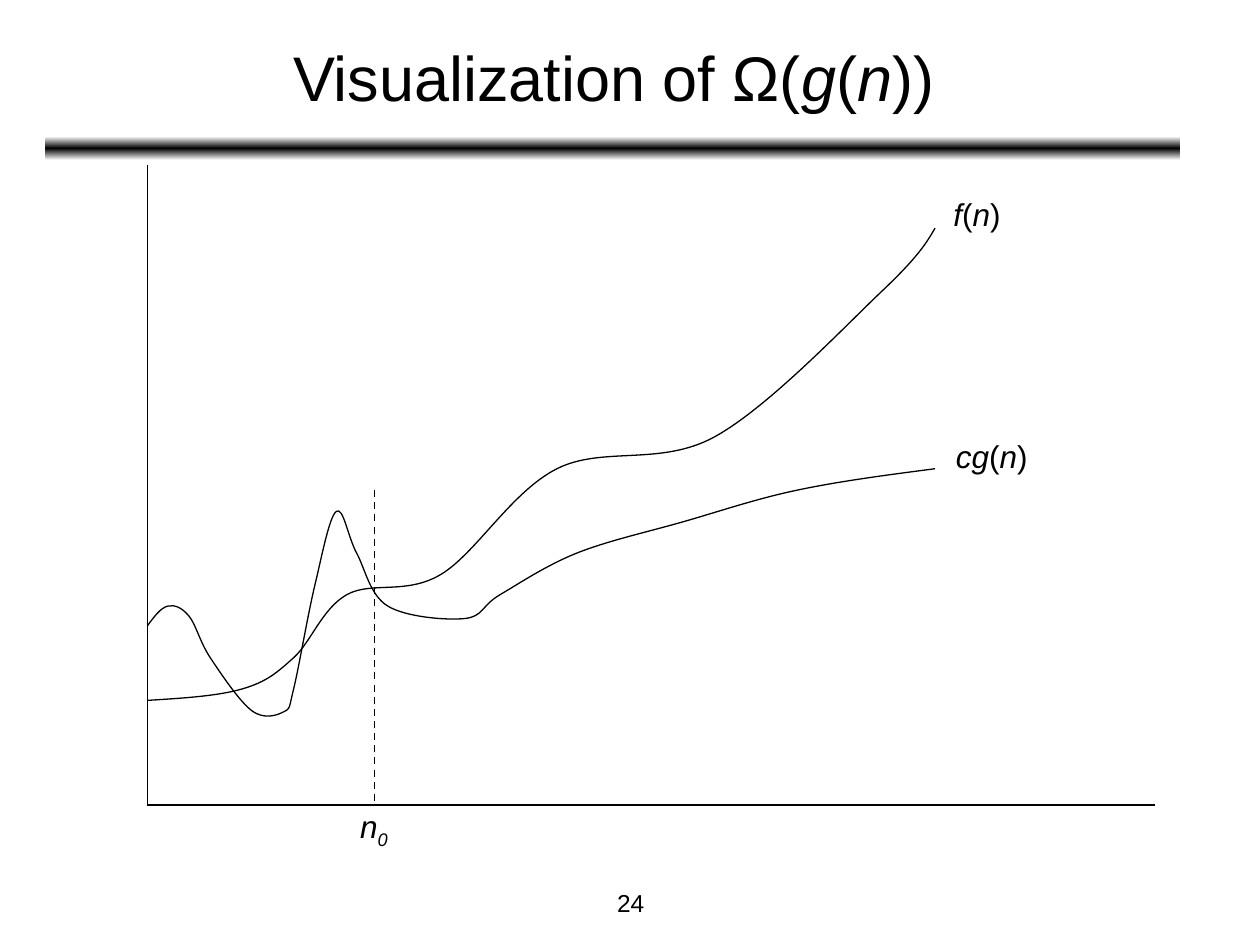
from copy import deepcopy

from lxml.etree import SubElement
from pptx import Presentation
from pptx.dml.color import RGBColor
from pptx.enum.dml import MSO_LINE
from pptx.enum.shapes import MSO_CONNECTOR, MSO_SHAPE
from pptx.enum.text import MSO_ANCHOR, MSO_AUTO_SIZE, PP_ALIGN
from pptx.oxml.ns import qn
from pptx.util import Cm, Pt

BLACK = RGBColor(0, 0, 0)
WHITE = RGBColor(255, 255, 255)

AXIS_X, AXIS_Y = 2.97, 16.23
N0_X = 7.55

F_KNOTS = [(2.97, 14.12), (4.88, 13.89), (5.92, 13.26), (6.99, 11.99),
           (8.89, 11.58), (11.23, 9.45), (14.4, 8.81), (17.78, 5.87),
           (18.85, 4.6)]
CG_KNOTS = [(2.97, 12.62), (3.38, 12.22), (3.81, 12.42), (4.24, 13.26),
            (5.08, 14.33), (5.72, 14.35), (5.92, 13.89), (6.35, 11.79),
            (6.78, 10.31), (7.19, 11.15), (7.82, 12.22), (9.37, 12.47),
            (10.08, 11.99), (11.63, 11.15), (13.77, 10.52), (16.08, 9.88),
            (18.85, 9.45)]


def write_spans(paragraph, spans, size):
    """Fill a paragraph from (text, italic) pairs and return its runs."""
    paragraph.font.size = Pt(size)
    paragraph.font.name = "Arial"
    paragraph.font.color.rgb = BLACK
    runs = []
    for text, italic in spans:
        span = paragraph.add_run()
        span.text = text
        span.font.italic = italic
        runs.append(span)
    return runs


def smooth_segments(curve):
    """Turn a freeform's straight segments into a smooth spline through its knots."""
    path = next(curve._element.iter(qn("a:path")))
    knots = [(int(pt.get("x")), int(pt.get("y"))) for pt in path.iter(qn("a:pt"))]
    arriving, leaving = [], []
    for (x0, y0), (x, y), (x1, y1) in zip(knots, knots[1:], knots[2:]):
        dx, dy = (x1 - x0) / 6, (y1 - y0) / 6
        arriving.append((x - dx, y - dy))
        leaving.append((x + dx, y + dy))
    # The outer controls lie halfway between the end knot and its neighbour's control
    first = [(a + b) / 2 for a, b in zip(knots[0], arriving[0])]
    last = [(a + b) / 2 for a, b in zip(knots[-1], leaving[-1])]
    for line in path.findall(qn("a:lnTo")):
        path.remove(line)
    for controls in zip([first] + leaving, arriving + [last], knots[1:]):
        bezier = SubElement(path, qn("a:cubicBezTo"))
        for x, y in controls:
            SubElement(bezier, qn("a:pt"), x=str(round(x)), y=str(round(y)))


deck = Presentation()
deck.slide_width, deck.slide_height = Cm(25.4), Cm(19.05)
page = deck.slides.add_slide(deck.slide_layouts[5])

# Title and the shaded bar below it
title = page.shapes.title
title.left, title.top, title.width, title.height = Cm(0.94), Cm(0.28), Cm(22.86), Cm(2.51)
title.text_frame.auto_size = MSO_AUTO_SIZE.NONE
title.text_frame.vertical_anchor = MSO_ANCHOR.MIDDLE
heading = title.text_frame.paragraphs[0]
heading.alignment = PP_ALIGN.CENTER
write_spans(heading, [("Visualization of Ω(", False), ("g", True), ("(", False),
                      ("n", True), ("))", False)], 36)

bar = page.shapes.add_shape(MSO_SHAPE.ROUNDED_RECTANGLE,
                            Cm(0.91), Cm(2.75), Cm(22.89), Cm(0.48))
bar.shadow.inherit = False
bar.line.fill.background()
bar.fill.gradient()
bar.fill.gradient_angle = 90
stop_list = next(bar._element.iter(qn("a:gsLst")))
stop_list.append(deepcopy(stop_list[0]))
for stop, color, position in zip(bar.fill.gradient_stops, (WHITE, BLACK, WHITE), (0, 0.5, 1)):
    stop.color.rgb = color
    stop.position = position

# Axes and the n0 marker
for start, end, width, dash in [
    ((AXIS_X, 3.33), (AXIS_X, AXIS_Y), 0.75, None),
    ((AXIS_X, AXIS_Y), (23.29, AXIS_Y), 0.75, None),
    ((N0_X, 9.88), (N0_X, AXIS_Y), 1, MSO_LINE.DASH),
]:
    line = page.shapes.add_connector(MSO_CONNECTOR.STRAIGHT,
                                     *[Cm(value) for value in start + end])
    line.line.color.rgb = BLACK
    line.line.width = Pt(width)
    line.line.dash_style = dash
    SubElement(line._element.spPr, qn("a:effectLst"))

# Function curves
for knots in (F_KNOTS, CG_KNOTS):
    points = [(Cm(x), Cm(y)) for x, y in knots]
    builder = page.shapes.build_freeform(*points[0])
    builder.add_line_segments(points[1:], close=False)
    curve = builder.convert_to_shape()
    smooth_segments(curve)
    curve.shadow.inherit = False
    curve.fill.background()
    curve.line.color.rgb = BLACK
    curve.line.width = Pt(0.75)

# Labels beside the curves and below the axis
argument = [("(", False), ("n", True), (")", False)]
for left, top, width, height, spans, size, align in [
    (18.97, 3.81, 1.46, 1.02, [("f", True)] + argument, 18, PP_ALIGN.LEFT),
    (19.02, 8.69, 1.96, 1.02, [("cg", True)] + argument, 18, PP_ALIGN.LEFT),
    (7.01, 16.14, 1.07, 1.12, [("n", True), ("0", True)], 18, PP_ALIGN.LEFT),
    (8.69, 17.78, 8.05, 0.89, [("24", False)], 14, PP_ALIGN.CENTER),
]:
    box = page.shapes.add_textbox(Cm(left), Cm(top), Cm(width), Cm(height))
    is_page_number = align == PP_ALIGN.CENTER
    box.text_frame.word_wrap = is_page_number
    if not is_page_number:
        box.text_frame.auto_size = MSO_AUTO_SIZE.SHAPE_TO_FIT_TEXT
    para = box.text_frame.paragraphs[0]
    para.alignment = align
    runs = write_spans(para, spans, size)
    if runs[-1].text == "0":
        runs[-1].font._element.set("baseline", "-25000")

deck.save("out.pptx")
